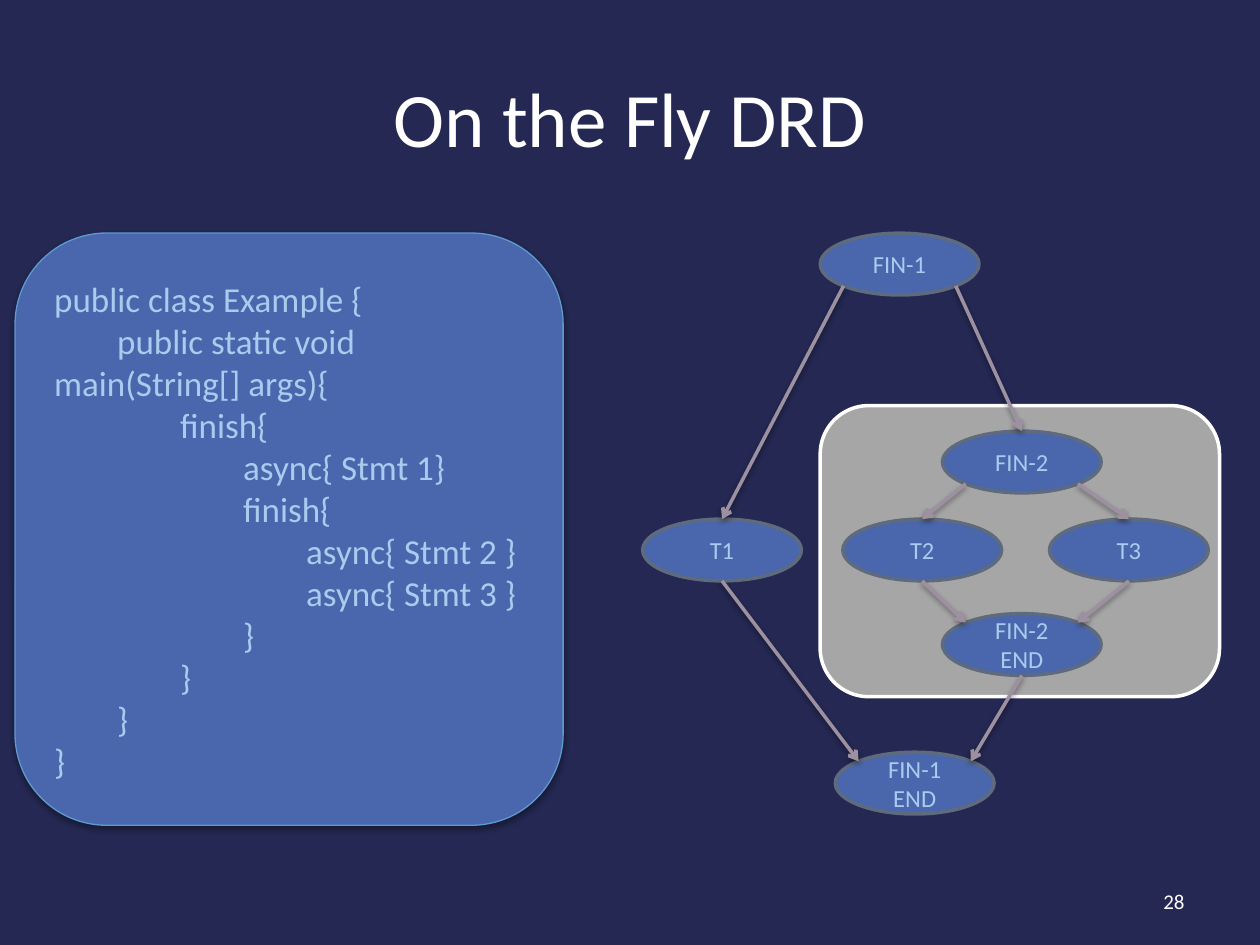
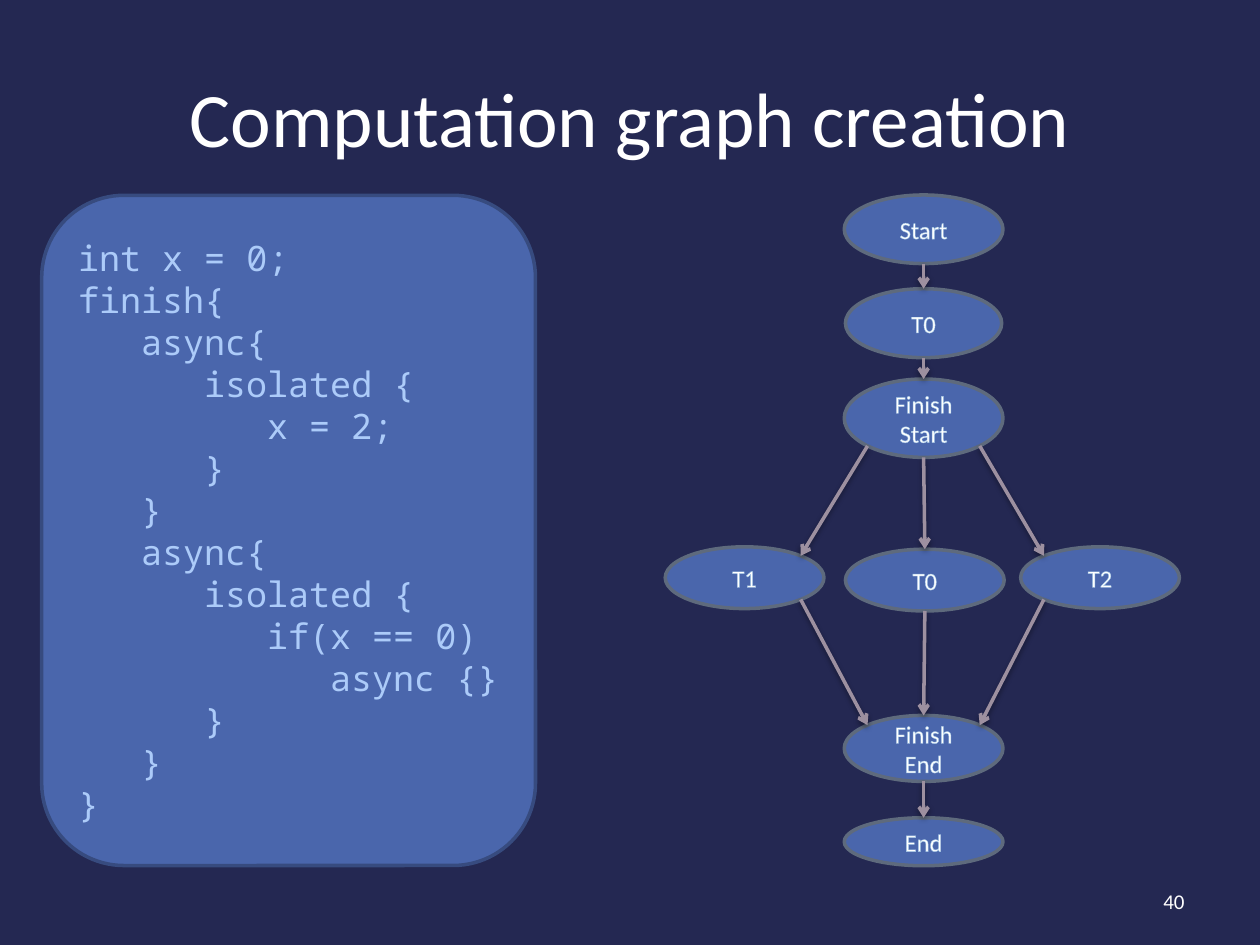
from dataclasses import dataclass
from enum import IntEnum
from math import cos, radians, sin
from typing import Optional

from lxml.etree import SubElement
from pptx import Presentation
from pptx.dml.color import RGBColor
from pptx.enum.shapes import MSO_CONNECTOR, MSO_SHAPE
from pptx.enum.text import MSO_ANCHOR, PP_ALIGN
from pptx.oxml.ns import qn
from pptx.util import Pt

# Shared look
FONT, MONO = "Calibri", "Noto Sans Mono"
NAVY, BLUE, WHITE, GREY = "242852", "4A66AC", "FFFFFF", "A6A6A6"
OVAL_LINE, ARROW, PALE, GLOW = "5E6A7D", "9D90A0", "A9CCEE", "A1C4E3"
INDENT = 36


class Site(IntEnum):
    """Connection sites of an ellipse, counter-clockwise from the top."""
    TOP = 0
    TOP_LEFT = 1
    BOTTOM_LEFT = 3
    BOTTOM = 4
    BOTTOM_RIGHT = 5
    TOP_RIGHT = 7


@dataclass
class Node:
    key: str
    cx: float
    cy: float
    text: str
    w: float = 90.7
    h: float = 35.3

    def point(self, site: Site) -> tuple[float, float]:
        angle = radians(90 + 45 * site)
        return self.cx + self.w / 2 * cos(angle), self.cy - self.h / 2 * sin(angle)


@dataclass
class Edge:
    start: str
    start_site: Site
    end: str
    end_site: Site


@dataclass
class Shadow:
    alpha: int
    dist: float
    blur: float = 3.15


@dataclass
class Panel:
    x: float
    y: float
    w: float
    h: float
    fill: str
    line: str
    line_w: float = 2
    shadow: Optional[Shadow] = None


ARROW_SHADOW = Shadow(38, 1.57)


def rgb(color: str) -> RGBColor:
    return RGBColor.from_string(color)


def add_shadow(sp, shadow: Shadow) -> None:
    effects = sp._element.spPr.find(qn("a:effectLst"))
    if effects is None:
        effects = SubElement(sp._element.spPr, qn("a:effectLst"))
    outer = SubElement(effects, qn("a:outerShdw"), blurRad=str(Pt(shadow.blur)),
                       dist=str(Pt(shadow.dist)), dir="5400000", rotWithShape="0")
    color = SubElement(outer, qn("a:srgbClr"), val="000000")
    SubElement(color, qn("a:alpha"), val=str(shadow.alpha * 1000))


def add_run(p, text: str, size: float, color: str, font: str = FONT,
            outline: Optional[str] = None) -> None:
    r = p.add_run()
    r.text = text
    r.font.size, r.font.name = Pt(size), font
    r.font.color.rgb = rgb(color)
    if outline:
        ln = r.font._element.makeelement(qn("a:ln"), {"w": str(Pt(0.75))})
        fill = SubElement(ln, qn("a:solidFill"))
        SubElement(fill, qn("a:srgbClr"), val=outline)
        r.font._element.insert(0, ln)


def add_label(s, x: float, y: float, w: float, h: float, text: str,
              size: float, align: PP_ALIGN) -> None:
    tf = s.shapes.add_textbox(Pt(x), Pt(y), Pt(w), Pt(h)).text_frame
    tf.word_wrap, tf.vertical_anchor = True, MSO_ANCHOR.MIDDLE
    p = tf.paragraphs[0]
    p.alignment = align
    add_run(p, text, size, WHITE)


def add_slide(prs, title: str, number: int):
    s = prs.slides.add_slide(prs.slide_layouts[6])
    s.background.fill.solid()
    s.background.fill.fore_color.rgb = rgb(NAVY)
    add_label(s, 36, 21.6, 648, 90, title, 44, PP_ALIGN.CENTER)
    add_label(s, 516, 500.5, 168, 28.75, str(number), 12, PP_ALIGN.RIGHT)
    return s


def add_panel(s, panel: Panel, kind: MSO_SHAPE = MSO_SHAPE.ROUNDED_RECTANGLE):
    sp = s.shapes.add_shape(kind, Pt(panel.x), Pt(panel.y), Pt(panel.w), Pt(panel.h))
    sp.fill.solid()
    sp.fill.fore_color.rgb = rgb(panel.fill)
    sp.line.color.rgb, sp.line.width = rgb(panel.line), Pt(panel.line_w)
    sp.shadow.inherit = False
    if panel.shadow:
        add_shadow(sp, panel.shadow)
    sp.text_frame.word_wrap = True
    sp.text_frame.vertical_anchor = MSO_ANCHOR.MIDDLE
    return sp


def add_code(s, panel: Panel, code: str, color: str, font: str) -> None:
    """Two leading spaces make one indent level; | breaks a line."""
    tf = add_panel(s, panel).text_frame
    for i, line in enumerate(code.strip().splitlines()):
        p = tf.add_paragraph() if i else tf.paragraphs[0]
        p.alignment = PP_ALIGN.LEFT
        text = line.lstrip()
        level = (len(line) - len(text)) // 2
        pPr = p._p.get_or_add_pPr()
        pPr.set("marL", "0")
        pPr.set("indent", str(Pt(level * INDENT)))
        for j, part in enumerate(text.split("|")):
            if j:
                p.add_line_break()
            add_run(p, part, 20, color, font)


def add_node(s, node: Node, color: str, outline: Optional[str]):
    box = Panel(node.cx - node.w / 2, node.cy - node.h / 2, node.w, node.h,
                BLUE, OVAL_LINE)
    sp = add_panel(s, box, MSO_SHAPE.OVAL)
    tf = sp.text_frame
    for i, line in enumerate(node.text.splitlines()):
        p = tf.add_paragraph() if i else tf.paragraphs[0]
        p.alignment = PP_ALIGN.CENTER
        add_run(p, line, 14, color, outline=outline)
    return sp


def add_graph(s, nodes: list[Node], edges: list[Edge], color: str,
              outline: Optional[str] = None) -> None:
    by_key = {node.key: node for node in nodes}
    ovals = {node.key: add_node(s, node, color, outline) for node in nodes}
    for edge in edges:
        x1, y1 = by_key[edge.start].point(edge.start_site)
        x2, y2 = by_key[edge.end].point(edge.end_site)
        cxn = s.shapes.add_connector(MSO_CONNECTOR.STRAIGHT, 0, 0, 0, 0)
        # Join both ends, then move them to the ellipse's own sites
        cxn.begin_connect(ovals[edge.start], 0)
        cxn.end_connect(ovals[edge.end], 0)
        for tag, site in (("a:stCxn", edge.start_site), ("a:endCxn", edge.end_site)):
            next(cxn._element.iter(qn(tag))).set("idx", str(int(site)))
        cxn.begin_x, cxn.begin_y = Pt(x1), Pt(y1)
        cxn.end_x, cxn.end_y = Pt(x2), Pt(y2)
        cxn.line.color.rgb, cxn.line.width = rgb(ARROW), Pt(2)
        SubElement(cxn.line._get_or_add_ln(), qn("a:tailEnd"), type="arrow")
        add_shadow(cxn, ARROW_SHADOW)


# Slide 1: nested finish blocks
EXAMPLE_CODE = """
public class Example {
  public static void|main(String[] args){
    finish{
      async{ Stmt 1}
      finish{
        async{ Stmt 2 }
        async{ Stmt 3 }
      }
    }
  }
}
"""
EXAMPLE_PANEL = Panel(8.6, 133.2, 313.2, 338.4, BLUE, "5D9ACF", 0.75, Shadow(35, 1.81))
INNER_FINISH = Panel(468.7, 231.8, 228.2, 166.3, GREY, WHITE)
DRD_NODES = [
    Node("fin1", 514.1, 150.9, "FIN-1"),
    Node("t1", 412.6, 314.3, "T1"),
    Node("t2", 527, 314.3, "T2"),
    Node("t3", 645.1, 314.3, "T3"),
    Node("fin2", 583.9, 264, "FIN-2"),
    Node("fin2_end", 583.9, 368.3, "FIN-2\nEND"),
    Node("fin1_end", 522.7, 447.5, "FIN-1\nEND"),
]
DRD_EDGES = [
    Edge("fin1", Site.BOTTOM_LEFT, "t1", Site.TOP),
    Edge("fin1", Site.BOTTOM_RIGHT, "fin2", Site.TOP),
    Edge("fin2", Site.BOTTOM_LEFT, "t2", Site.TOP),
    Edge("fin2", Site.BOTTOM_RIGHT, "t3", Site.TOP),
    Edge("t2", Site.BOTTOM, "fin2_end", Site.TOP_LEFT),
    Edge("t3", Site.BOTTOM, "fin2_end", Site.TOP_RIGHT),
    Edge("t1", Site.BOTTOM, "fin1_end", Site.TOP_LEFT),
    Edge("fin2_end", Site.BOTTOM, "fin1_end", Site.TOP_RIGHT),
]

# Slide 2: isolated blocks
ISOLATED_CODE = """
int x = 0;
finish{
  async{
    isolated {
      x = 2;
    }
  }
  async{
    isolated {
      if(x == 0)
        async {}
    }
  }
}
"""
ISOLATED_PANEL = Panel(23.8, 111.6, 282.2, 383, BLUE, "374B7F")
AXIS = 527.8
GRAPH_NODES = [
    Node("start", AXIS, 131, "Start", h=39.2),
    Node("t0", AXIS, 184.7, "T0", w=89.3, h=39.4),
    Node("finish_start", AXIS, 239, "Finish\nStart", h=44.8),
    Node("t1", 425.5, 330.1, "T1"),
    Node("t0_middle", 528.5, 331.5, "T0"),
    Node("t2", 628.6, 330.1, "T2"),
    Node("finish_end", AXIS, 427.7, "Finish\nEnd", h=37.7),
    Node("end", AXIS, 481, "End", h=27.4),
]
GRAPH_EDGES = [
    *(Edge(a, Site.BOTTOM, b, Site.TOP) for a, b in (
        ("start", "t0"), ("t0", "finish_start"), ("finish_start", "t0_middle"),
        ("t0_middle", "finish_end"), ("finish_end", "end"))),
    Edge("finish_start", Site.BOTTOM_LEFT, "t1", Site.TOP_RIGHT),
    Edge("finish_start", Site.BOTTOM_RIGHT, "t2", Site.TOP_LEFT),
    Edge("t1", Site.BOTTOM_RIGHT, "finish_end", Site.TOP_LEFT),
    Edge("t2", Site.BOTTOM_LEFT, "finish_end", Site.TOP_RIGHT),
]


def main() -> None:
    prs = Presentation()
    prs.slide_width, prs.slide_height = Pt(720), Pt(540)

    s = add_slide(prs, "On the Fly DRD", 28)
    add_panel(s, INNER_FINISH)
    add_graph(s, DRD_NODES, DRD_EDGES, PALE)
    add_code(s, EXAMPLE_PANEL, EXAMPLE_CODE, PALE, FONT)

    s = add_slide(prs, "Computation graph creation", 40)
    add_code(s, ISOLATED_PANEL, ISOLATED_CODE, "ACCBF9", MONO)
    add_graph(s, GRAPH_NODES, GRAPH_EDGES, WHITE, GLOW)

    prs.save("out.pptx")


if __name__ == "__main__":
    main()
